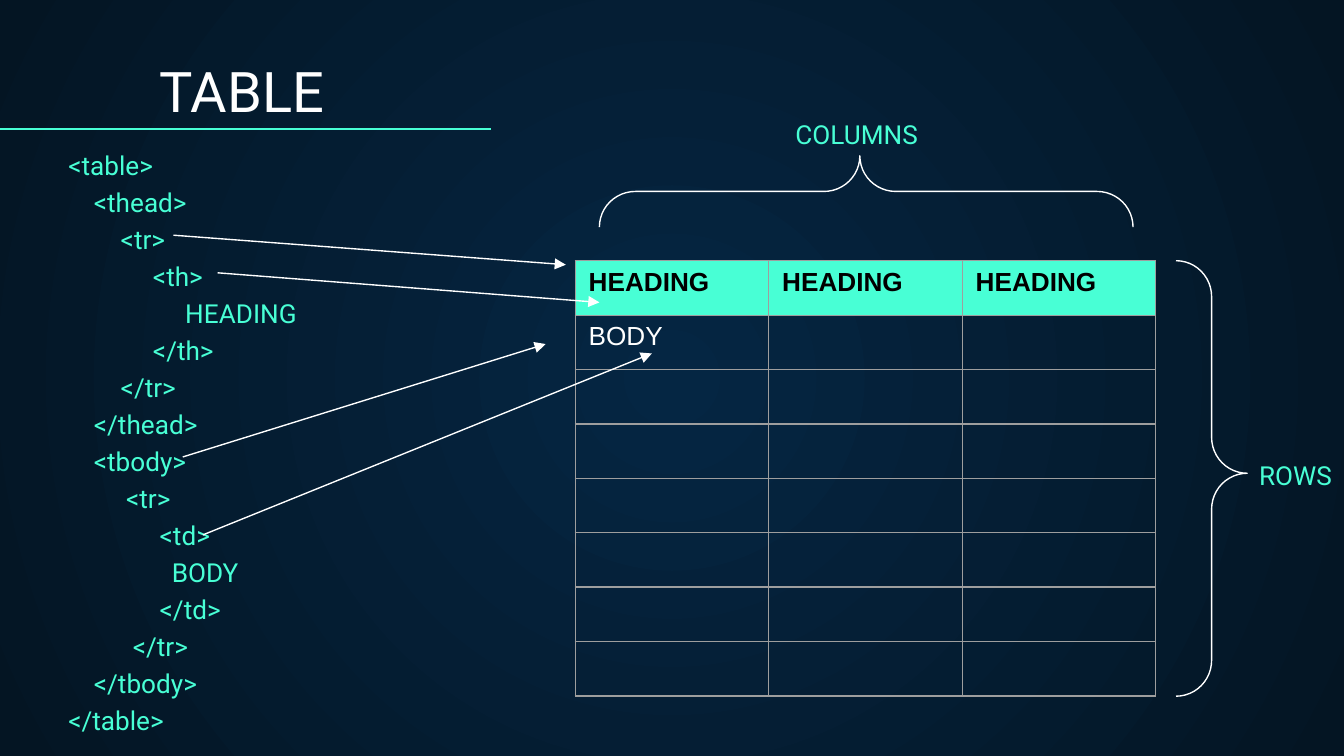
from lxml.etree import SubElement
from pptx import Presentation
from pptx.dml.color import RGBColor
from pptx.enum.shapes import MSO_CONNECTOR, MSO_SHAPE
from pptx.enum.text import MSO_ANCHOR
from pptx.oxml.ns import qn
from pptx.util import Inches, Pt

MINT = RGBColor(0x48, 0xFF, 0xD5)
WHITE = RGBColor(0xFF, 0xFF, 0xFF)
BLACK = RGBColor(0, 0, 0)
GREY = RGBColor(0x9E, 0x9E, 0x9E)
NAVY = RGBColor(0x05, 0x26, 0x43)
DARK = RGBColor(0x04, 0x15, 0x23)

# Content: code lines with their indents in inches
CODE = [
    ("<table>", 0), ("<thead>", 0.19), ("<tr>", 0.39), ("<th>", 0.63),
    ("HEADING", 0.87), ("</th>", 0.63), ("</tr>", 0.39), ("</thead>", 0.19),
    ("<tbody>", 0.19), ("<tr>", 0.43), ("<td>", 0.68), ("BODY", 0.77),
    ("</td>", 0.68), ("</tr>", 0.48), ("</tbody>", 0.19), ("</table>", 0),
]
HEAD = ["HEADING"] * 3
ROWS = [HEAD, ["BODY", "", ""]] + [[""] * 3] * 6
GRID = (4.28, 1.94, 4.32, 3.24)
LABELS = [("COLUMNS", (5.82, 0.83, 1.21, 0.34)),
          ("ROWS", (9.27, 3.37, 0.73, 0.34))]
BRACES = [((6.18, -0.56, 0.53, 3.97), 90), ((8.75, 1.94, 0.53, 3.24), 180)]
ARROWS = [(1.62, 2.03, 4.46, 2.25), (1.36, 3.4, 4.06, 2.56),
          (1.51, 3.98, 4.85, 2.63), (1.29, 1.75, 4.21, 1.97)]

# Text formats
TITLE = {"name": "Roboto", "size": Pt(30), "color": WHITE}
MARK = {"name": "Roboto", "size": Pt(14), "color": MINT}
TOP = {"name": "Arial", "size": Pt(14), "color": BLACK, "bold": True}
BODY = {**TOP, "color": WHITE, "bold": False}


def style(font, form):
    for key, val in form.items():
        if key == "color":
            font.color.rgb = val
        else:
            setattr(font, key, val)


def write(par, text, form):
    run = par.add_run()
    run.text = text
    style(run.font, form)


def add_text(slide, box, lines, form, inset=0.1, after=3):
    frame = slide.shapes.add_textbox(*map(Inches, box)).text_frame
    frame.word_wrap = True
    frame.margin_top = frame.margin_bottom = Inches(inset)
    frame.margin_right = 0
    for i, (text, indent) in enumerate(lines):
        par = frame.add_paragraph() if i else frame.paragraphs[0]
        par.space_after = Pt(after)
        par._p.get_or_add_pPr().set("marL", str(Inches(indent)))
        write(par, text, form)
    return frame


def add_line(slide, ends, color, arrow=False):
    line = slide.shapes.add_connector(MSO_CONNECTOR.STRAIGHT, *map(Inches, ends))
    line.line.color.rgb = color
    line.line.width = Pt(0.75)
    if arrow:
        SubElement(line.line._get_or_add_ln(), qn("a:tailEnd"), type="triangle")
    SubElement(line._element.spPr, qn("a:effectLst"))


def add_border(cell):
    props = cell._tc.get_or_add_tcPr()
    for i, side in enumerate(("lnL", "lnR", "lnT", "lnB")):
        edge = SubElement(props, qn("a:" + side), w=str(Pt(0.75)))
        fill = SubElement(edge, qn("a:solidFill"))
        SubElement(fill, qn("a:srgbClr"), val=str(GREY))
        props.insert(i, edge)


def add_back(slide):
    fill = slide.background.fill
    fill.gradient()
    for stop, color in zip(fill.gradient_stops, (NAVY, DARK)):
        stop.color.rgb = color
    grad = slide._element.find(".//" + qn("a:gradFill"))
    grad.remove(grad.find(qn("a:lin")))
    ring = SubElement(grad, qn("a:path"), {"path": "circle"})
    SubElement(ring, qn("a:fillToRect"), {side: "50000" for side in "ltrb"})


def add_grid(slide):
    shape = slide.shapes.add_table(len(ROWS), len(HEAD), *map(Inches, GRID))
    table = shape.table
    for col in table.columns:
        col.width = Inches(GRID[2] / len(HEAD))
    for r, row in enumerate(ROWS):
        table.rows[r].height = Inches(GRID[3] / len(ROWS))
        for c, text in enumerate(row):
            cell = table.cell(r, c)
            cell.margin_bottom = 0
            if r == 0:
                cell.fill.solid()
                cell.fill.fore_color.rgb = MINT
            else:
                cell.fill.background()
            add_border(cell)
            if text:
                write(cell.text_frame.paragraphs[0], text, BODY if r else TOP)


def add_brace(slide, box, turn):
    brace = slide.shapes.add_shape(MSO_SHAPE.LEFT_BRACE, *map(Inches, box))
    brace.rotation = turn
    brace.adjustments[0] = 0.505
    brace.adjustments[1] = 0.512
    brace.shadow.inherit = False
    brace.fill.background()
    brace.line.color.rgb = WHITE
    brace.line.width = Pt(0.75)


def main():
    deck = Presentation()
    deck.slide_width = Inches(10)
    deck.slide_height = Inches(10 * 9 / 16)
    slide = deck.slides.add_slide(deck.slide_layouts[6])
    add_back(slide)

    # Title with its rule
    title = add_text(slide, (1.09, 0.36, 8.57, 0.66), [("TABLE", 0)], TITLE, after=0)
    title.vertical_anchor = MSO_ANCHOR.BOTTOM
    add_line(slide, (0, 0.96, 3.65, 0.96), MINT)

    # Table and its code
    add_grid(slide)
    add_text(slide, (0.41, 1.01, 3.49, 2.93), CODE, MARK)

    # Braces, labels and arrows
    for box, turn in BRACES:
        add_brace(slide, box, turn)
    for text, box in LABELS:
        add_text(slide, box, [(text, 0)], MARK, inset=0.05)
    for ends in ARROWS:
        add_line(slide, ends, WHITE, arrow=True)

    deck.save("out.pptx")


if __name__ == "__main__":
    main()
